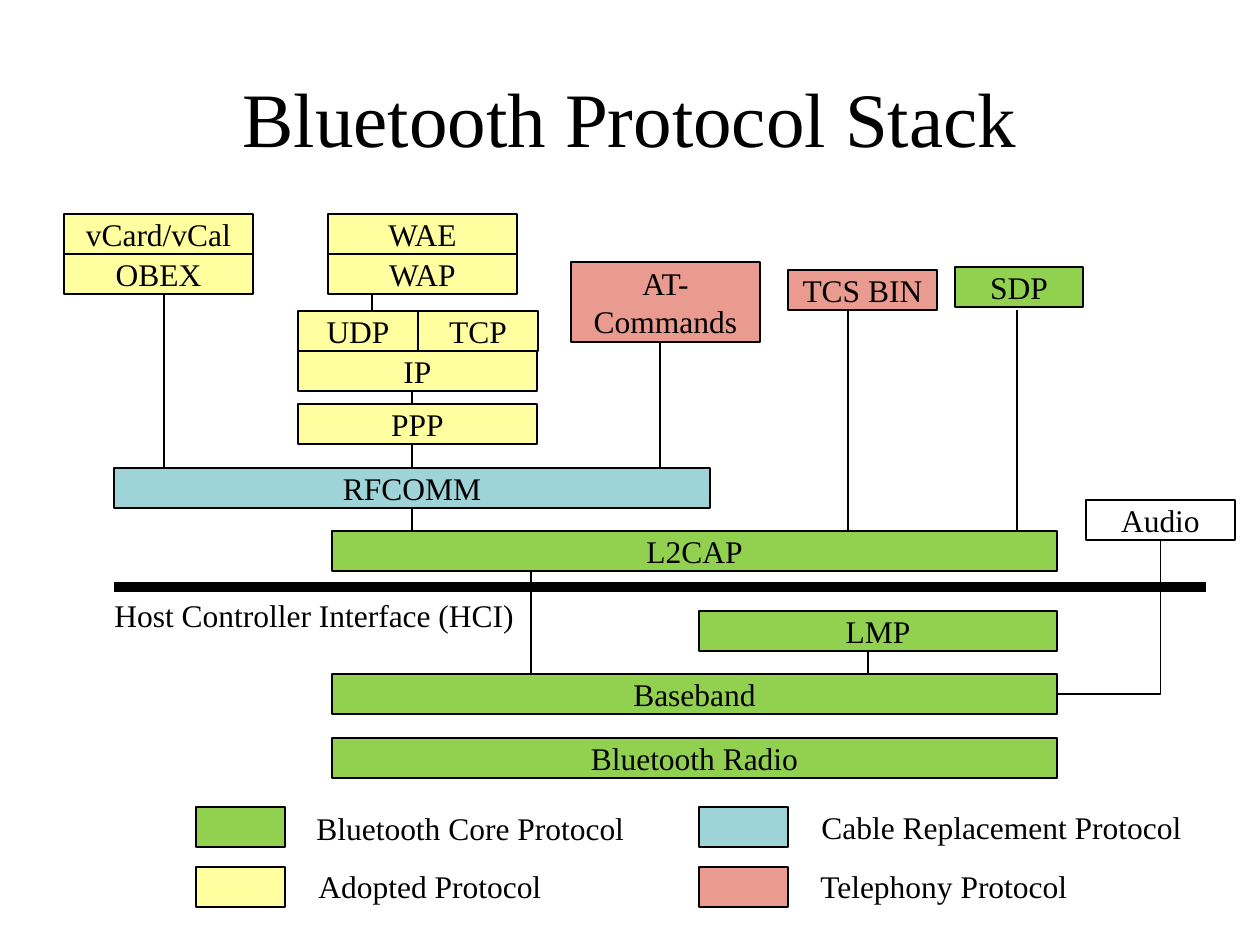
import pptx
import pptx.util
import pptx.dml.color
import pptx.enum.shapes
import pptx.enum.text
import pptx.oxml.ns
import lxml.etree
from dataclasses import dataclass


@dataclass(frozen=True)
class Theme:
    font: str = "Times New Roman"
    ink: str = "000000"
    core: str = "92D050"
    cable: str = "9ED3D7"
    adopt: str = "FFFF9F"
    phone: str = "E89B8E"
    head: int = 44
    body: int = 18
    thin: float = 0.75
    thick: float = 5.75


theme = Theme()
PX = 914400 / 126
Kind = pptx.enum.shapes.MSO_CONNECTOR
Align = pptx.enum.text.PP_ALIGN
Anchor = pptx.enum.text.MSO_ANCHOR
rgb = pptx.dml.color.RGBColor.from_string

deck = pptx.Presentation()
deck.slide_width, deck.slide_height = round(1260 * PX), round(945 * PX)
slide = deck.slides.add_slide(deck.slide_layouts[6])
shapes = slide.shapes


def write(shape, text, size, align):
    frame = shape.text_frame
    frame.text = text
    frame.word_wrap = False
    for para in frame.paragraphs:
        para.alignment = align
        para.font.name = theme.font
        para.font.size = pptx.util.Pt(size)
        para.font.color.rgb = rgb(theme.ink)
    return frame


def wire(x1, y1, x2, y2, width=theme.thin, kind=Kind.STRAIGHT):
    line = shapes.add_connector(kind, *(round(v * PX) for v in (x1, y1, x2, y2)))
    line.line.color.rgb = rgb(theme.ink)
    line.line.width = pptx.util.Pt(width)
    props = line._element.spPr
    lxml.etree.SubElement(props, pptx.oxml.ns.qn("a:effectLst"))
    return line


# Title
title = shapes.add_textbox(*(round(v * PX) for v in (63, 38, 1134, 158)))
frame = write(title, "Bluetooth Protocol Stack", theme.head, Align.CENTER)
frame.word_wrap = True
frame.vertical_anchor = Anchor.MIDDLE

# Protocol boxes and legend swatches: text, fill, left, top, width, height
ROW = 40
boxes = [
    ("Bluetooth Radio", theme.core, 332, 738, 725, ROW),
    ("Baseband", theme.core, 332, 674, 725, ROW),
    ("LMP", theme.core, 699, 611, 358, ROW),
    ("L2CAP", theme.core, 332, 531, 725, ROW),
    ("Audio", None, 1086, 500, 149, ROW),
    ("RFCOMM", theme.cable, 114, 468, 596, ROW),
    ("PPP", theme.adopt, 298, 404, 239, ROW),
    ("IP", theme.adopt, 298, 351, 239, ROW),
    ("UDP", theme.adopt, 298, 311, 120, ROW),
    ("TCP", theme.adopt, 418, 311, 120, ROW),
    ("WAP", theme.adopt, 328, 254, 189, ROW),
    ("WAE", theme.adopt, 328, 214, 189, ROW),
    ("OBEX", theme.adopt, 64, 254, 189, ROW),
    ("vCard/vCal", theme.adopt, 64, 214, 189, ROW),
    ("AT-\nCommands", theme.phone, 571, 262, 189, 2 * ROW),
    ("TCS BIN", theme.phone, 788, 270, 149, ROW),
    ("SDP", theme.core, 955, 267, 128, ROW),
    ("", theme.core, 196, 807, 89, ROW),
    ("", theme.adopt, 196, 867, 89, ROW),
    ("", theme.cable, 699, 807, 89, ROW),
    ("", theme.phone, 699, 867, 89, ROW),
]
named = {}
for text, fill, *place in boxes:
    box = shapes.add_shape(pptx.enum.shapes.MSO_SHAPE.RECTANGLE,
                           *(round(v * PX) for v in place))
    box.shadow.inherit = False
    if fill:
        box.fill.solid()
        box.fill.fore_color.rgb = rgb(fill)
    else:
        box.fill.background()
    box.line.color.rgb = rgb(theme.ink)
    box.line.width = pptx.util.Pt(theme.thin)
    if text:
        frame = write(box, text, theme.body, Align.CENTER)
        frame.vertical_anchor = Anchor.MIDDLE
        named[text] = box

# Host controller boundary
wire(114, 587, 1206, 587, theme.thick)

# Vertical links: x, top, bottom
for x, top, base in [
    (1017, 310, 531), (848, 310, 531), (660, 342, 468), (372, 294, 310),
    (412, 390, 404), (412, 444, 468), (412, 508, 531), (531, 571, 674),
    (868, 651, 674), (164, 294, 468),
]:
    wire(x, top, x, base)

# One-corner link from Baseband up to Audio
bend = wire(1057, 694, 1161, 540, kind=Kind.ELBOW)
bend.begin_connect(named["Baseband"], 3)
bend.end_connect(named["Audio"], 2)
bend._element.spPr.find(pptx.oxml.ns.qn("a:prstGeom")).set("prst", "bentConnector2")

# Labels: text, left, top, width
for text, left, top, width in [
    ("Host Controller Interface (HCI)", 102, 590, 425),
    ("Bluetooth Core Protocol", 304, 803, 333),
    ("Adopted Protocol", 306, 861, 248),
    ("Cable Replacement Protocol", 809, 802, 386),
    ("Telephony Protocol", 808, 861, 275),
]:
    label = shapes.add_textbox(*(round(v * PX) for v in (left, top, width, 50)))
    frame = write(label, text, theme.body, Align.LEFT)
    frame.auto_size = pptx.enum.text.MSO_AUTO_SIZE.SHAPE_TO_FIT_TEXT

deck.save("out.pptx")
